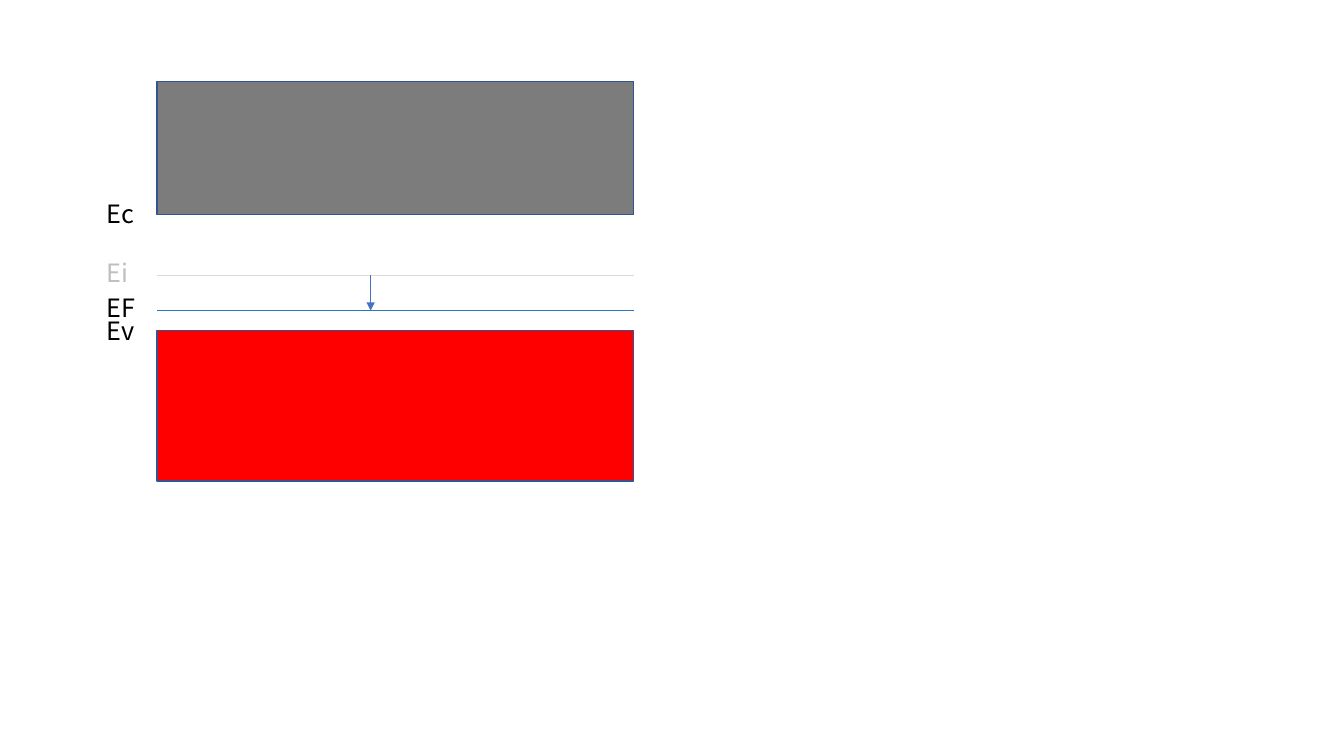
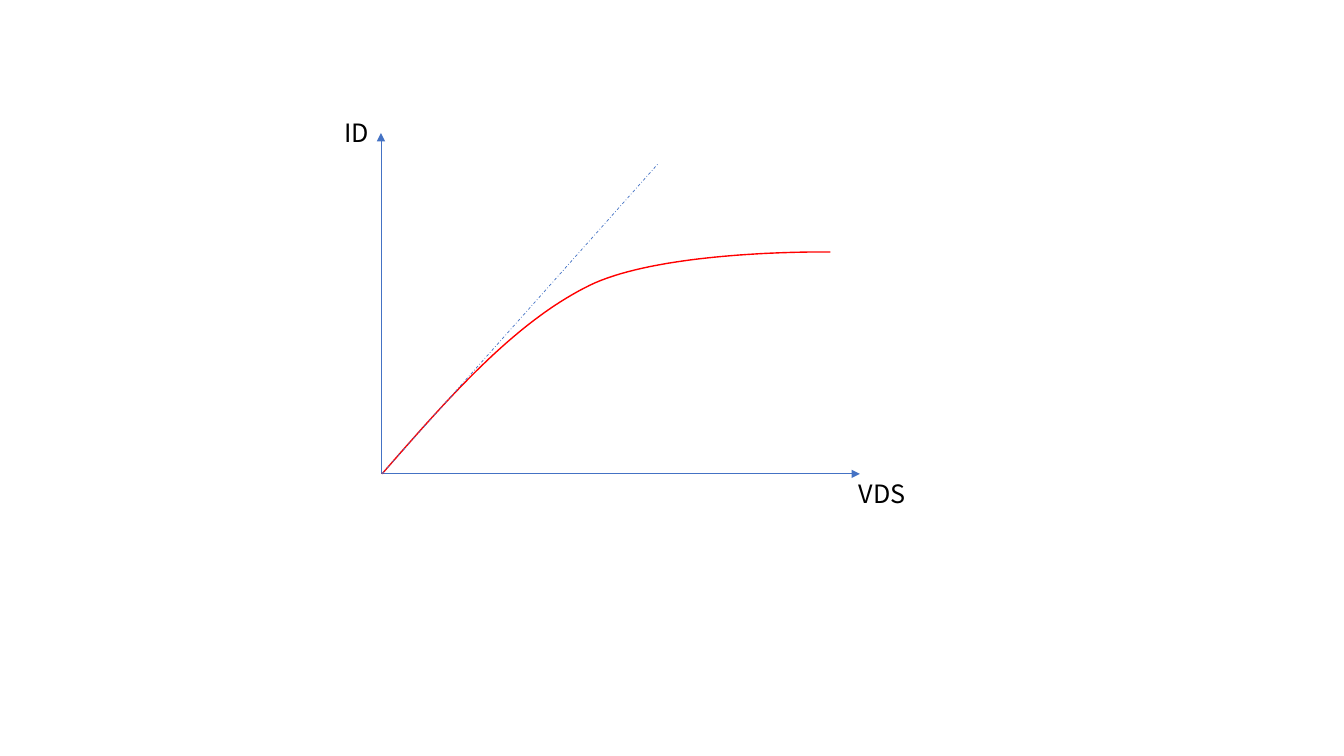
from lxml.etree import SubElement
from pptx import Presentation
from pptx.dml.color import RGBColor
from pptx.enum.dml import MSO_LINE
from pptx.enum.shapes import MSO_CONNECTOR, MSO_SHAPE
from pptx.enum.text import MSO_AUTO_SIZE
from pptx.oxml.ns import qn
from pptx.util import Cm, Pt

FONT = "Noto Sans CJK KR"
BLACK, RED, GRAY = "000000", "FF0000", "7C7C7C"
BLUE, EDGE, FERMI = "4472C4", "325491", "2E75B6"
PALE, FAINT = "D9D9D9", "BFBFBF"


def color(code):
    return RGBColor.from_string(code)


def label(slide, text, x, y, w, tint=BLACK, wrap=False):
    box = slide.shapes.add_textbox(Cm(x), Cm(y), Cm(w), Cm(1.02))
    frame = box.text_frame
    frame.word_wrap = wrap
    frame.auto_size = MSO_AUTO_SIZE.SHAPE_TO_FIT_TEXT
    run = frame.paragraphs[0].add_run()
    run.text = text
    run.font.name = FONT
    run.font.size = Pt(18)
    run.font.color.rgb = color(tint)


def line(slide, start, end, tint=BLUE, arrow=False, dash=None):
    ends = [Cm(v) for v in (*start, *end)]
    link = slide.shapes.add_connector(MSO_CONNECTOR.STRAIGHT, *ends)
    link.line.color.rgb = color(tint)
    link.line.width = Pt(0.5)
    if dash:
        link.line.dash_style = dash
    props = link._element.spPr
    if arrow:
        SubElement(props.find(qn("a:ln")), qn("a:tailEnd"), type="triangle")
    SubElement(props, qn("a:effectLst"))


def band(slide, x, y, w, h, fill):
    rect = slide.shapes.add_shape(MSO_SHAPE.RECTANGLE, Cm(x), Cm(y), Cm(w), Cm(h))
    rect.shadow.inherit = False
    rect.fill.solid()
    rect.fill.fore_color.rgb = color(fill)
    rect.line.color.rgb = color(EDGE)
    rect.line.width = Pt(1)


def bezier(a, b, c, d, steps=40):
    """Points along a cubic curve, without its start."""
    for i in range(1, steps + 1):
        t = i / steps
        u = 1 - t
        yield tuple(u**3 * p + 3 * u * u * t * q + 3 * u * t * t * r + t**3 * s
                    for p, q, r, s in zip(a, b, c, d))


def levels(slide, x, y, w, h):
    """Energy bands with the levels between them."""
    cond, mid, fermi, val = 3.35, 4.88, 5.77, 6.27
    band(slide, x, y + val, w, h - val, RED)
    band(slide, x, y, w, cond, GRAY)

    # Level lines and the shift from Ei to EF
    for drop, tint in ((mid, PALE), (fermi, FERMI)):
        line(slide, (x, y + drop), (x + w, y + drop), tint)
    line(slide, (x + 5.38, y + mid), (x + 5.38, y + fermi), arrow=True)

    # Names: text, level, rise above it, colour
    for text, drop, rise, tint in (("Ev", val, 0.5, BLACK),
                                   ("Ec", cond, 0.53, BLACK),
                                   ("Ei", mid, 0.59, FAINT),
                                   ("EF", fermi, 0.59, BLACK)):
        label(slide, text, x - 1.52, y + drop - rise, 1.27, tint, True)


def graph(slide, x, y, w, h):
    """Drain current against drain voltage."""
    base = y + h

    def spot(right, up):
        return x + right, base - up

    # Axes
    line(slide, (x, base), (x, y), arrow=True)
    line(slide, (x, base), (x + w, base), arrow=True)

    # Saturating curve
    start, knee, end = spot(0.03, 0), spot(5.26, 4.75), spot(11.33, 5.59)
    dots = [*bezier(start, spot(1.7, 1.91), spot(3.35, 3.81), knee),
            *bezier(knee, spot(7.14, 5.66), end, end)]
    pen = slide.shapes.build_freeform(Cm(start[0]), Cm(start[1]))
    pen.add_line_segments([(Cm(a), Cm(b)) for a, b in dots], close=False)
    curve = pen.convert_to_shape()
    curve.shadow.inherit = False
    curve.fill.background()
    curve.line.color.rgb = color(RED)
    curve.line.width = Pt(1)

    # Axis names and linear guide
    label(slide, "ID", x - 1.17, y - 0.51, 1.14)
    label(slide, "VDS", x + w - 0.28, base, 1.73)
    line(slide, start, spot(6.99, 7.82), dash=MSO_LINE.DASH_DOT)


def main():
    deck = Presentation()
    deck.slide_width, deck.slide_height = Cm(33.87), Cm(19.05)
    blank = deck.slide_layouts[6]
    for draw, area in ((levels, (3.96, 2.06, 12.01, 10.06)),
                       (graph, (9.6, 3.35, 12.07, 8.59))):
        draw(deck.slides.add_slide(blank), *area)
    deck.save("out.pptx")


if __name__ == "__main__":
    main()
